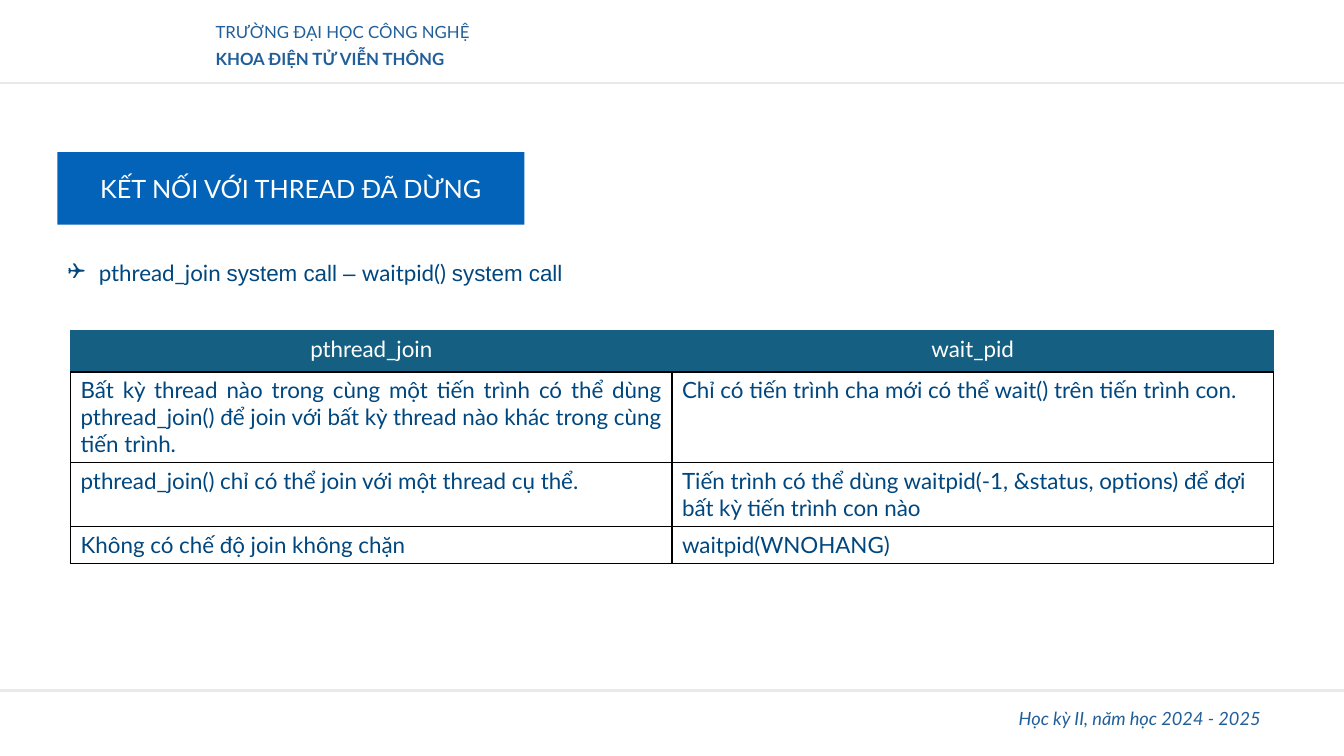
from pptx import Presentation
from pptx.dml.color import RGBColor
from pptx.enum.shapes import MSO_CONNECTOR
from pptx.enum.text import MSO_ANCHOR, MSO_AUTO_SIZE, PP_ALIGN
from pptx.oxml import parse_xml
from pptx.oxml.ns import nsdecls
from pptx.util import Inches, Pt

NAVY, BLUE, TEAL = "00477F", "215F9A", "156082"
PILL, GREY, WHITE, BLACK = "0263B9", "E9E9E9", "FFFFFF", "000000"
NS = nsdecls("a")

ROWS = [
    ("pthread_join", "wait_pid"),
    ("Bất kỳ thread nào trong cùng một tiến trình có thể dùng pthread_join() "
     "để join với bất kỳ thread nào khác trong cùng tiến trình.",
     "Chỉ có tiến trình cha mới có thể wait() trên tiến trình con."),
    ("pthread_join() chỉ có thể join với một thread cụ thể.",
     "Tiến trình có thể dùng waitpid(-1, &status, options) để đợi bất kỳ tiến trình con nào"),
    ("Không có chế độ join không chặn", "waitpid(WNOHANG)"),
]
ROW_HEIGHTS = (0.41, 0.9, 0.63, 0.37)


def rgb(value):
    return RGBColor.from_string(value)


class SlideBuilder:
    font = "Lato"

    def __init__(self, prs):
        self.s = prs.slides.add_slide(prs.slide_layouts[1])

    def style(self, p, size, color, bold=False, italic=False, align=PP_ALIGN.LEFT):
        p.alignment = align
        for r in p.runs:
            f = r.font
            f.name, f.size, f.bold, f.italic = self.font, Pt(size), bold, italic
            f.color.rgb = rgb(color)

    def place(self, sp, x, y, w, h):
        sp.left, sp.top, sp.width, sp.height = map(Inches, (x, y, w, h))
        tf = sp.text_frame
        tf.word_wrap, tf.auto_size = True, MSO_AUTO_SIZE.NONE
        return tf

    def title(self, text, *box):
        """Turn the title placeholder into a filled pill."""
        sp = self.s.shapes.title
        tf = self.place(sp, *box)
        sp.element.spPr.append(parse_xml(
            f'<a:prstGeom {NS} prst="roundRect"><a:avLst>'
            '<a:gd name="adj" fmla="val 50000"/></a:avLst></a:prstGeom>'))
        sp.fill.solid()
        sp.fill.fore_color.rgb = rgb(PILL)
        tf.text = text
        tf.vertical_anchor = MSO_ANCHOR.MIDDLE
        self.style(tf.paragraphs[0], 18, WHITE, align=PP_ALIGN.CENTER)

    def bullet(self, parts, *box):
        """Fill the body placeholder with one bullet of (text, font) parts."""
        p = self.place(self.s.placeholders[1], *box).paragraphs[0]
        pPr = p._p.get_or_add_pPr()
        indent = Inches(0.31)
        pPr.set("marL", str(indent))
        pPr.set("indent", str(-indent))
        pPr.append(parse_xml(f'<a:buFont {NS} typeface="Wingdings"/>'))
        pPr.append(parse_xml(f'<a:buChar {NS} char="❑"/>'))
        p.line_spacing, p.space_before = 1.5, Pt(0)
        for text, _ in parts:
            p.add_run().text = text
        self.style(p, 16, NAVY, align=PP_ALIGN.JUSTIFY)
        for r, (_, font) in zip(p.runs, parts):
            r.font.name = font

    def label(self, text, *box, size=12, spacing=0.9, anchor=MSO_ANCHOR.TOP, **look):
        tf = self.place(self.s.shapes.add_textbox(0, 0, 0, 0), *box)
        tf.text = text
        tf.vertical_anchor = anchor
        p = tf.paragraphs[0]
        p.line_spacing = spacing
        self.style(p, size, BLUE, **look)

    def rule(self, y):
        line = self.s.shapes.add_connector(
            MSO_CONNECTOR.STRAIGHT, 0, Inches(y), Inches(13.33), Inches(y))
        line.line.color.rgb, line.line.width = rgb(GREY), Pt(1.5)
        line.element.spPr.append(parse_xml(f"<a:effectLst {NS}/>"))

    def borders(self, cell, colors):
        """Set the left, right, top and bottom borders, in that order."""
        tcPr = cell._tc.get_or_add_tcPr()
        for i, (side, color) in enumerate(zip("LRTB", colors)):
            tcPr.insert(i, parse_xml(
                f'<a:ln{side} {NS} w="{Pt(1)}"><a:solidFill>'
                f'<a:srgbClr val="{color}"/></a:solidFill></a:ln{side}>'))

    def table(self, rows, heights, x, y, w):
        frame = self.s.shapes.add_table(
            len(rows), len(rows[0]), Inches(x), Inches(y), Inches(w), Inches(sum(heights)))
        table = frame.table
        table.horz_banding = False
        for i, (texts, height) in enumerate(zip(rows, heights)):
            table.rows[i].height = Inches(height)
            for j, text in enumerate(texts):
                cell = table.cell(i, j)
                cell.text = text
                p = cell.text_frame.paragraphs[0]
                if i == 0:
                    cell.fill.solid()
                    cell.fill.fore_color.rgb = rgb(TEAL)
                    self.style(p, 16, WHITE, align=PP_ALIGN.CENTER)
                    self.borders(cell, (TEAL, TEAL, TEAL, BLACK))
                else:
                    cell.fill.background()
                    justify = (i, j) == (1, 0)
                    self.style(p, 16, NAVY,
                               align=PP_ALIGN.JUSTIFY if justify else PP_ALIGN.LEFT)
                    self.borders(cell, [BLACK] * 4)


def main():
    prs = Presentation()
    prs.slide_width, prs.slide_height = Inches(13.33), Inches(7.5)
    b = SlideBuilder(prs)
    b.label("TRƯỜNG ĐẠI HỌC CÔNG NGHỆ", 2.04, 0.19, 3.24, 0.35)
    b.label("KHOA ĐIỆN TỬ VIỄN THÔNG", 2.04, 0.46, 3.13, 0.35, bold=True)
    b.label("Học kỳ II, năm học 2024 - 2025", 9.33, 6.93, 3.27, 0.4, size=13,
            spacing=1.0, anchor=MSO_ANCHOR.MIDDLE, italic=True, align=PP_ALIGN.RIGHT)
    for y in (0.82, 6.85):
        b.rule(y)
    b.title("KẾT NỐI VỚI THREAD ĐÃ DỪNG", 0.57, 1.51, 4.63, 0.72)
    b.bullet([("pthread_join ", "Lato"), ("system call – ", "Arial"),
              ("waitpid() ", "Lato"), ("system call", "Arial")], 0.57, 2.39, 6.5, 0.46)
    b.table(ROWS, ROW_HEIGHTS, 0.7, 3.28, 11.93)
    prs.save("out.pptx")


if __name__ == "__main__":
    main()
